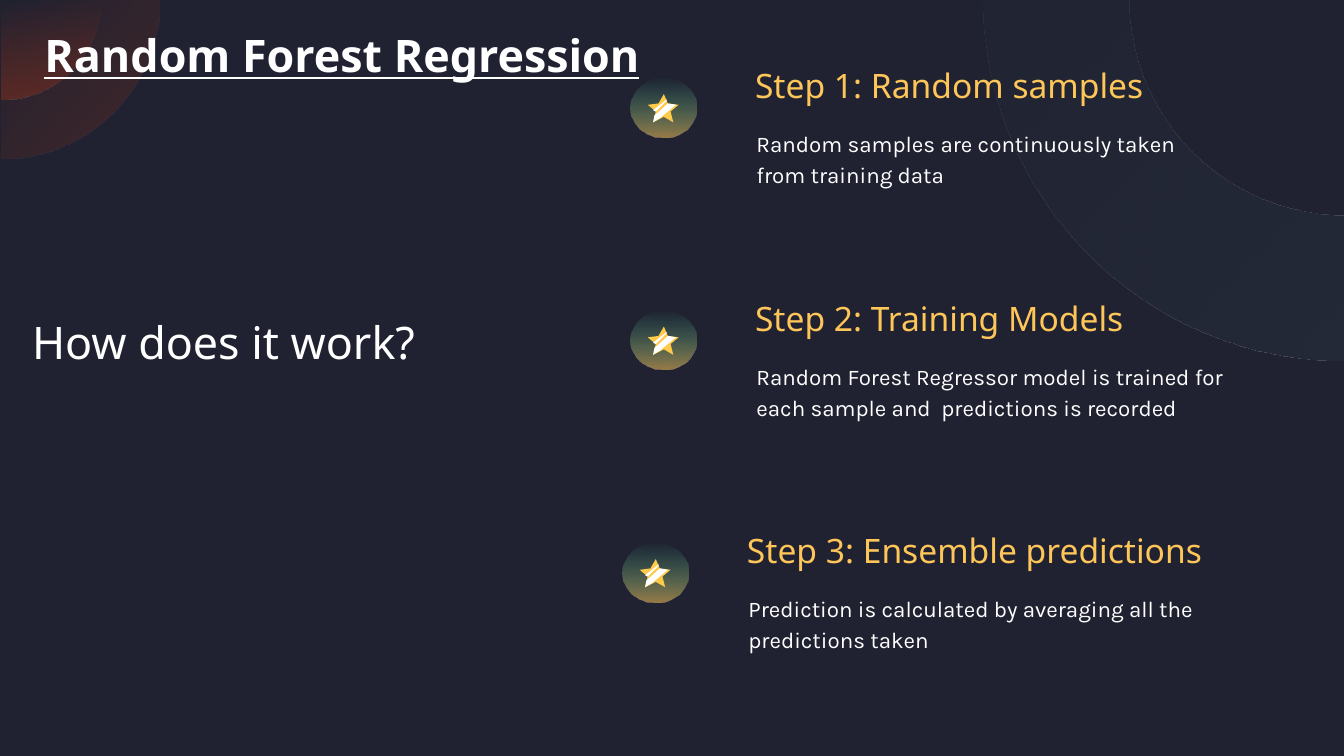
from math import cos, radians, sin

from lxml import etree
from pptx import Presentation
from pptx.dml.color import RGBColor
from pptx.enum.shapes import MSO_SHAPE
from pptx.enum.text import MSO_ANCHOR, MSO_AUTO_SIZE, PP_ALIGN
from pptx.oxml.ns import qn
from pptx.util import Inches, Pt

COLORS = {
    "background": "202231",
    "white": "FFFFFF",
    "heading": "FEC659",
    "star": "FFC94A",
    "mint": "4AFFC3",
    "rust": "9C3218",
    "slate": "252C3A",
}
HEAD_FONT = "Noto Sans"
BODY_FONT = "Karla"
STEP_GAP = 1.73
STAR = [(0.25, 0.12), (0.21, 0.19), (0.13, 0.2), (0.19, 0.25), (0.17, 0.33),
        (0.25, 0.29), (0.32, 0.33), (0.3, 0.25), (0.36, 0.2), (0.28, 0.19)]
THIN_STRIPE = [(0.27, 0.16), (0.17, 0.24), (0.19, 0.25), (0.27, 0.17)]
WIDE_STRIPE = [(0.28, 0.19), (0.18, 0.28), (0.17, 0.33), (0.22, 0.3), (0.34, 0.2)]
STEPS = [
    ("Step 1: Random samples",
     "Random samples are continuously taken from training data", 0, 3.36),
    ("Step 2: Training Models",
     "Random Forest Regressor model is trained for each sample and  predictions is recorded",
     0, 3.36),
    ("Step 3: Ensemble predictions",
     "Prediction is calculated by averaging all the predictions taken", -0.06, 3.83),
]


def rgb(name):
    return RGBColor.from_string(COLORS[name])


def fill_solid(shape, color):
    shape.shadow.inherit = False
    shape.line.fill.background()
    shape.fill.solid()
    shape.fill.fore_color.rgb = rgb(color)


def fill_gradient(shape, stops, angle):
    fill_solid(shape, stops[0][0])
    solid = shape.element.spPr.find(qn("a:solidFill"))
    grad = etree.Element(qn("a:gradFill"), rotWithShape="1")
    stop_list = etree.SubElement(grad, qn("a:gsLst"))
    for pos, (color, alpha) in zip((0, 100000), stops):
        gs = etree.SubElement(stop_list, qn("a:gs"), pos=str(pos))
        clr = etree.SubElement(gs, qn("a:srgbClr"), val=COLORS[color])
        etree.SubElement(clr, qn("a:alpha"), val=str(alpha * 1000))
    etree.SubElement(grad, qn("a:lin"), ang=str(angle * 60000), scaled="0")
    solid.getparent().replace(solid, grad)


def add_outline(shapes, points, left=0, top=0):
    pts = [(Inches(left + x), Inches(top + y)) for x, y in points]
    builder = shapes.build_freeform(*pts[0])
    builder.add_line_segments(pts[1:], close=True)
    return builder.convert_to_shape()


def arc(cx, radius, start, end, count=60):
    angles = [radians(start + (end - start) * i / count) for i in range(count + 1)]
    return [(cx + radius * cos(a), radius * sin(a)) for a in angles]


def add_corners(s):
    for radius, alpha, angle in ((1.18, 30, 225), (0.74, 42, 270)):
        quarter = add_outline(s.shapes, [(0.01, 0)] + arc(0.01, radius, 0, 90))
        fill_gradient(quarter, [("rust", alpha), ("rust", 0)], angle)
    ring = add_outline(s.shapes, arc(10, 2.68, 180, 90) + arc(10, 1.6, 90, 180))
    fill_gradient(ring, [("slate", 75), ("slate", 20)], 225)


def add_badge(s, left, top):
    group = s.shapes.add_group_shape()
    disc = group.shapes.add_shape(MSO_SHAPE.OVAL, Inches(left), Inches(top),
                                  Inches(0.49), Inches(0.44))
    fill_gradient(disc, [("heading", 55), ("mint", 0)], 270)
    for points, color in ((STAR, "star"), (THIN_STRIPE, "white"), (WIDE_STRIPE, "white")):
        fill_solid(add_outline(group.shapes, points, left, top), color)


def write_text(shape, box, text, size, font, color, anchor=MSO_ANCHOR.TOP):
    shape.left, shape.top, shape.width, shape.height = map(Inches, box)
    tf = shape.text_frame
    tf.word_wrap = True
    tf.auto_size = MSO_AUTO_SIZE.NONE
    tf.vertical_anchor = anchor
    tf.margin_left = tf.margin_right = tf.margin_top = tf.margin_bottom = Inches(0.1)
    p = tf.paragraphs[0]
    p.alignment = PP_ALIGN.LEFT
    r = p.add_run()
    r.text = text
    r.font.size = Pt(size)
    r.font.name = font
    r.font.color.rgb = rgb(color)
    return p


def add_text(s, box, *style):
    return write_text(s.shapes.add_textbox(*map(Inches, box)), box, *style)


def add_step(s, index, heading, body, shift, width):
    top = index * STEP_GAP
    add_badge(s, 4.69 + shift, top + 0.58)
    for p in (
        add_text(s, (5.53 + shift, top + 0.84, 3.68, 0.83), body, 12, BODY_FONT, "white"),
        add_text(s, (5.52 + shift, top + 0.34, width, 0.63), heading, 18, HEAD_FONT, "heading"),
    ):
        p.line_spacing = 1.15
        p.space_after = Pt(16)


def add_title(s):
    title = s.shapes.title
    p = write_text(title, (0.23, 0.09, 4.65, 0.63), "Random Forest Regression",
                   24, HEAD_FONT, "white", MSO_ANCHOR.MIDDLE)
    p.runs[0].font.bold = True
    p.runs[0].font.underline = True
    s.shapes.element.append(title.element)


def main():
    prs = Presentation()
    prs.slide_width = Inches(10)
    prs.slide_height = prs.slide_width * 9 // 16
    s = prs.slides.add_slide(prs.slide_layouts[5])
    s.background.fill.solid()
    s.background.fill.fore_color.rgb = rgb("background")
    add_corners(s)
    add_text(s, (0.14, 1.81, 3.27, 1.46), "How does it work?",
             24, HEAD_FONT, "white", MSO_ANCHOR.MIDDLE)
    for index, step in enumerate(STEPS):
        add_step(s, index, *step)
    add_title(s)
    prs.save("out.pptx")


main()
